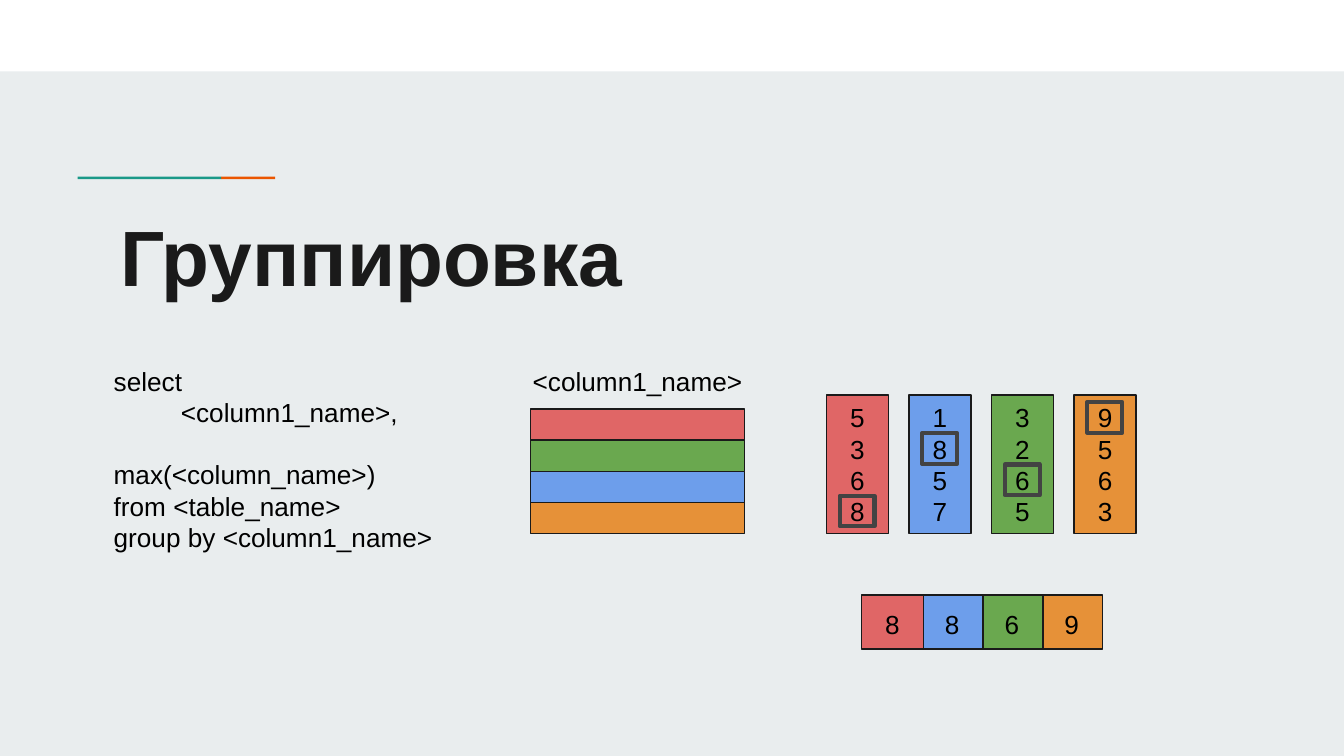
from pptx import Presentation
from pptx.dml.color import RGBColor
from pptx.enum.shapes import MSO_SHAPE as SHAPE
from pptx.enum.text import MSO_ANCHOR as ANCHOR, PP_ALIGN as ALIGN
from pptx.util import Cm, Pt

COLORS = {
    "background": "E9EDEE", "white": "FFFFFF", "ink": "1A1A1A", "black": "000000",
    "teal": "1A9988", "accent": "EB5600", "ring": "434343",
    "red": "E06666", "green": "6AA84F", "blue": "6D9EEB", "orange": "E69138",
}
TITLE = "Группировка"
COLUMN = "<column1_name>"
# text, first-line indent in cm, space before in points
QUERY = [
    ("select", 0, 0),
    (f"{COLUMN},", 1.27, 0),
    ("max(<column_name>)", 0, 16.5),
    ("from <table_name>", 0, 0),
    (f"group by {COLUMN}", 0, 0),
]
TABLE_ROWS = ["red", "green", "blue", "orange"]
GROUPS = [
    ("red", [5, 3, 6, 8]),
    ("blue", [1, 8, 5, 7]),
    ("green", [3, 2, 6, 5]),
    ("orange", [9, 5, 6, 3]),
]
# left, top, width, height, step in cm
ROW = (10.03, 7.73, 4.04, 0.59, 0.59)
GROUP = (15.62, 7.47, 1.17, 2.62, 1.56)
RING = (0.25, 0.13, 0.66, 0.58, 0.59)  # left and top within the group
RESULT = (16.28, 11.25, 1.17, 1.02, 1.13)


def rgb(name):
    return RGBColor.from_string(COLORS[name])


def write(s, lines, size=14, color="black", bold=False, align=ALIGN.LEFT, anchor=ANCHOR.TOP):
    """Fill a shape with (text, indent, space before) lines."""
    tf = s.text_frame
    tf.word_wrap = True
    tf.vertical_anchor = anchor
    tf.margin_left = tf.margin_right = tf.margin_top = tf.margin_bottom = Cm(0.25)
    for i, (text, indent, before) in enumerate(lines):
        p = tf.paragraphs[0] if i == 0 else tf.add_paragraph()
        p.alignment = align
        p.space_before = Pt(before)
        if indent:
            p._p.get_or_add_pPr().set("indent", str(Cm(indent)))
        r = p.add_run()
        r.text = text
        r.font.name, r.font.size, r.font.bold = "Arial", Pt(size), bold
        r.font.color.rgb = rgb(color)


def add_text(slide, box, lines, **fmt):
    write(slide.shapes.add_textbox(*map(Cm, box)), lines, **fmt)


def add_box(slide, box, fill=None, line="ink", weight=0.75):
    s = slide.shapes.add_shape(SHAPE.RECTANGLE, *map(Cm, box))
    s.shadow.inherit = False
    if fill:
        s.fill.solid()
        s.fill.fore_color.rgb = rgb(fill)
    else:
        s.fill.background()
    if line:
        s.line.color.rgb = rgb(line)
        s.line.width = Pt(weight)
    else:
        s.line.fill.background()
    return s


def plain(*values):
    return [(str(v), 0, 0) for v in values]


def main():
    prs = Presentation()
    prs.slide_width, prs.slide_height = Cm(25.4), Cm(14.29)
    slide = prs.slides.add_slide(prs.slide_layouts[6])
    slide.background.fill.solid()
    slide.background.fill.fore_color.rgb = rgb("background")

    add_box(slide, (0, 0, 25.4, 1.35), "white", line=None)
    add_box(slide, (4.18, 3.34, 1.02, 0.05), "accent", line=None)
    add_box(slide, (1.47, 3.34, 2.71, 0.05), "teal", line=None)

    add_text(slide, (2.03, 3.68, 16.76, 2.03), plain(TITLE), size=42, color="ink", bold=True)
    add_text(slide, (1.9, 6.65, 7.85, 3.43), QUERY)
    add_text(slide, (9.75, 6.65, 4.6, 1.02), plain(COLUMN), align=ALIGN.CENTER)

    left, top, width, height, step = ROW
    for i, color in enumerate(TABLE_ROWS):
        add_box(slide, (left, top + i * step, width, height), color)

    left, top, width, height, step = GROUP
    dx, dy, ring_width, ring_height, line_step = RING
    for i, (color, values) in enumerate(GROUPS):
        x = left + i * step
        s = add_box(slide, (x, top, width, height), color)
        write(s, plain(*values), align=ALIGN.CENTER, anchor=ANCHOR.MIDDLE)
        y = top + dy + values.index(max(values)) * line_step
        add_box(slide, (x + dx, y, ring_width, ring_height), line="ring", weight=2.25)

    # Neighbours overlap slightly: the leftmost result lies on top
    left, top, width, height, step = RESULT
    for i, (color, values) in reversed(list(enumerate(GROUPS))):
        s = add_box(slide, (left + i * step, top, width, height), color)
        write(s, plain(max(values)), align=ALIGN.CENTER)

    prs.save("out.pptx")


if __name__ == "__main__":
    main()
